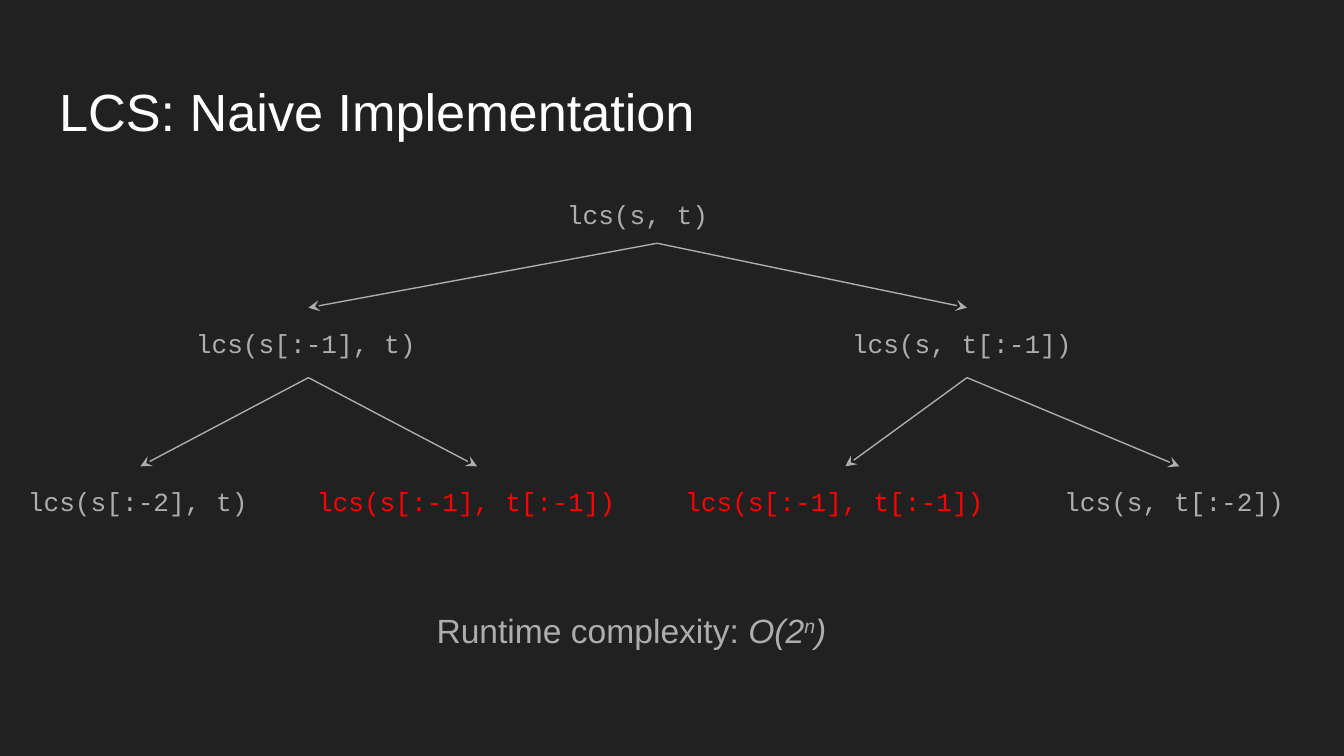
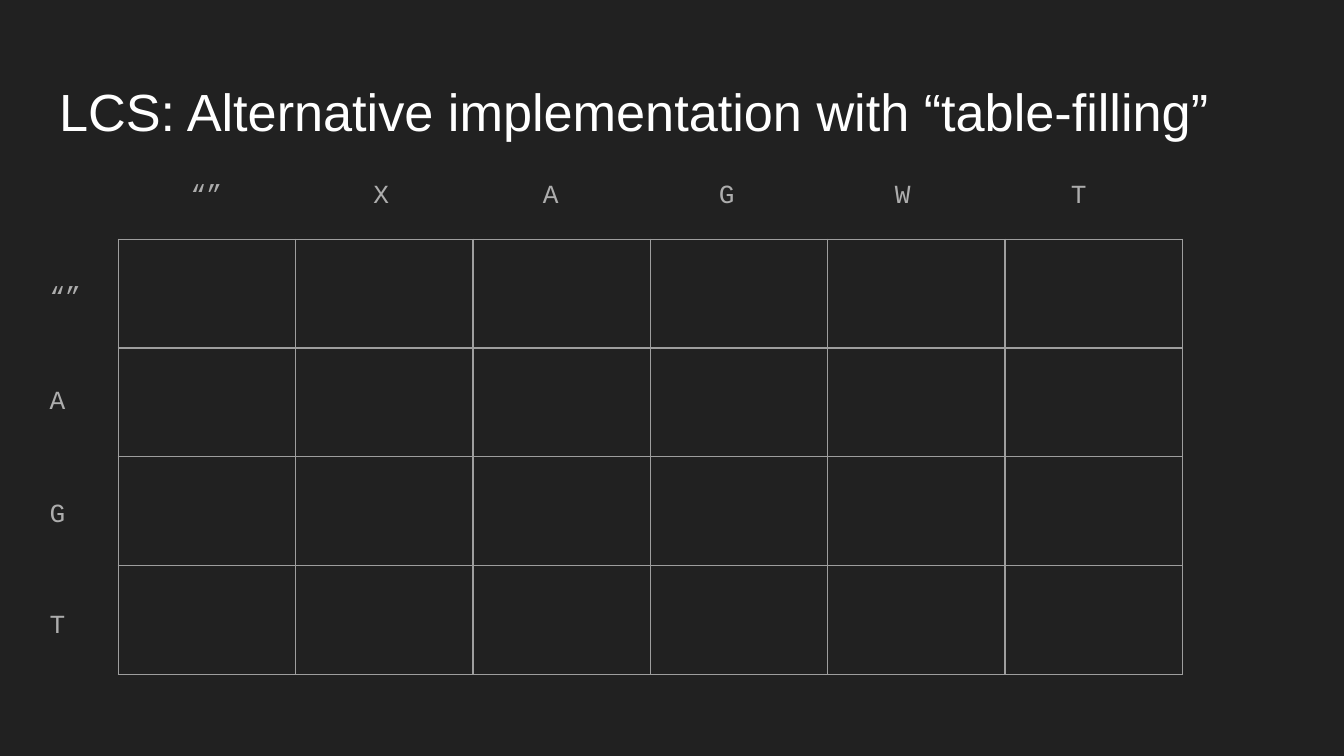
from lxml import etree
from pptx import Presentation
from pptx.dml.color import RGBColor
from pptx.enum.shapes import MSO_CONNECTOR
from pptx.enum.text import MSO_ANCHOR, MSO_AUTO_SIZE, PP_ALIGN
from pptx.oxml.ns import qn
from pptx.util import Inches, Pt

STRAIGHT = MSO_CONNECTOR.STRAIGHT
TOP, MIDDLE = MSO_ANCHOR.TOP, MSO_ANCHOR.MIDDLE
LEFT = PP_ALIGN.LEFT
NO_FIT = MSO_AUTO_SIZE.NONE

DARK = RGBColor(0x21, 0x21, 0x21)
WHITE = RGBColor(0xFF, 0xFF, 0xFF)
GRAY = RGBColor(0xAD, 0xAD, 0xAD)
GRID = RGBColor(0x9E, 0x9E, 0x9E)
RED = RGBColor(0xFF, 0x00, 0x00)
SANS, MONO = "Arial", "Courier New"
TITLE_ONLY = 5


def add_run(p, text, font=MONO, size=14, color=GRAY, italic=False, baseline=None):
    r = p.add_run()
    r.text = text
    r.font.name = font
    r.font.size = Pt(size)
    r.font.color.rgb = color
    r.font.italic = italic
    if baseline:
        r._r.get_or_add_rPr().set("baseline", str(baseline * 1000))


class Deck:
    def __init__(self):
        self.prs = Presentation()
        self.prs.slide_width = Inches(10)
        self.prs.slide_height = Inches(10) * 9 // 16
        fill = self.prs.slide_master.background.fill
        fill.solid()
        fill.fore_color.rgb = DARK
        self.s = None

    def frame(self, sp, anchor):
        tf = sp.text_frame
        tf.word_wrap = True
        tf.auto_size = NO_FIT
        tf.vertical_anchor = anchor
        tf.margin_left = tf.margin_right = Inches(0.1)
        tf.margin_top = tf.margin_bottom = Inches(0.1)
        p = tf.paragraphs[0]
        p.alignment = LEFT
        return p

    def slide(self, title):
        self.s = self.prs.slides.add_slide(self.prs.slide_layouts[TITLE_ONLY])
        sp = self.s.shapes.title
        sp.left, sp.top = Inches(0.34), Inches(0.49)
        sp.width, sp.height = Inches(9.32), Inches(0.63)
        add_run(self.frame(sp, TOP), title, font=SANS, size=28, color=WHITE)

    def text(self, x, y, w, h, *runs, anchor=TOP):
        sp = self.s.shapes.add_textbox(Inches(x), Inches(y), Inches(w), Inches(h))
        p = self.frame(sp, anchor)
        for text, style in runs:
            add_run(p, text, **style)
        return sp

    def arrow(self, parent, child):
        cx = self.s.shapes.add_connector(
            STRAIGHT,
            parent.left + parent.width // 2, parent.top + parent.height,
            child.left + child.width // 2, child.top)
        cx.line.color.rgb = GRAY
        cx.line.width = Pt(0.75)
        etree.SubElement(cx.line._get_or_add_ln(), qn("a:tailEnd"), type="stealth")
        etree.SubElement(cx._element.spPr, qn("a:effectLst"))

    def node(self, text, x, y, w, h=0.52, parent=None, anchor=MIDDLE, color=GRAY):
        sp = self.text(x, y, w, h, (text, {"color": color}), anchor=anchor)
        if parent is not None:
            self.arrow(parent, sp)
        return sp

    def grid(self, x, y, rows, cols, cell_w, cell_h):
        table = self.s.shapes.add_table(
            rows, cols, Inches(x), Inches(y),
            Inches(cols * cell_w), Inches(rows * cell_h)).table
        table.first_row = table.horz_banding = False
        for col in table.columns:
            col.width = Inches(cell_w)
        for row in table.rows:
            row.height = Inches(cell_h)
        for cell in table.iter_cells():
            self.borders(cell)
            cell.fill.background()

    def borders(self, cell):
        tcPr = cell._tc.get_or_add_tcPr()
        for side in ("lnL", "lnR", "lnT", "lnB"):
            ln = etree.SubElement(tcPr, qn(f"a:{side}"), w=str(Pt(0.75)))
            fill = etree.SubElement(ln, qn("a:solidFill"))
            etree.SubElement(fill, qn("a:srgbClr"), val=str(GRID))

    def label(self, text, x, y):
        self.text(x, y, 0.55, 0.45, (text, {}))


def build_call_tree(deck):
    deck.slide("LCS: Naive Implementation")
    root = deck.node("lcs(s, t)", 4.12, 1.38, 1.54, 0.43, anchor=TOP)
    short_s = deck.node("lcs(s[:-1], t)", 1.36, 2.29, 1.87, parent=root)
    short_t = deck.node("lcs(s, t[:-1])", 6.24, 2.29, 1.91, parent=root)
    repeated = "lcs(s[:-1], t[:-1])"
    for parent, text, x, w, color in (
        (short_s, "lcs(s[:-2], t)", 0.11, 1.87, GRAY),
        (short_s, repeated, 2.26, 2.58, RED),
        (short_t, repeated, 5, 2.58, RED),
        (short_t, "lcs(s, t[:-2])", 7.82, 1.91, GRAY),
    ):
        deck.node(text, x, 3.47, w, parent=parent, color=color)
    body = {"font": SANS, "size": 18}
    math_style = {**body, "italic": True}
    deck.text(3.15, 4.44, 3.27, 0.52,
              ("Runtime complexity: ", body), ("O(2", math_style),
              ("n", {**math_style, "baseline": 30}), (")", math_style))


def build_table_filling(deck):
    deck.slide("LCS: Alternative implementation with “table-filling”")
    columns = ("“”", "X", "A", "G", "W", "T")
    rows = ("“”", "A", "G", "T")
    deck.grid(0.88, 1.78, len(rows), len(columns), 1.32, 0.81)
    for text, x in zip(columns, (1.32, 2.68, 3.94, 5.25, 6.56, 7.87)):
        deck.label(text, x, 1.22)
    for text, y in zip(rows, (1.98, 2.75, 3.59, 4.42)):
        deck.label(text, 0.27, y)


def main():
    deck = Deck()
    build_call_tree(deck)
    build_table_filling(deck)
    deck.prs.save("out.pptx")


if __name__ == "__main__":
    main()
